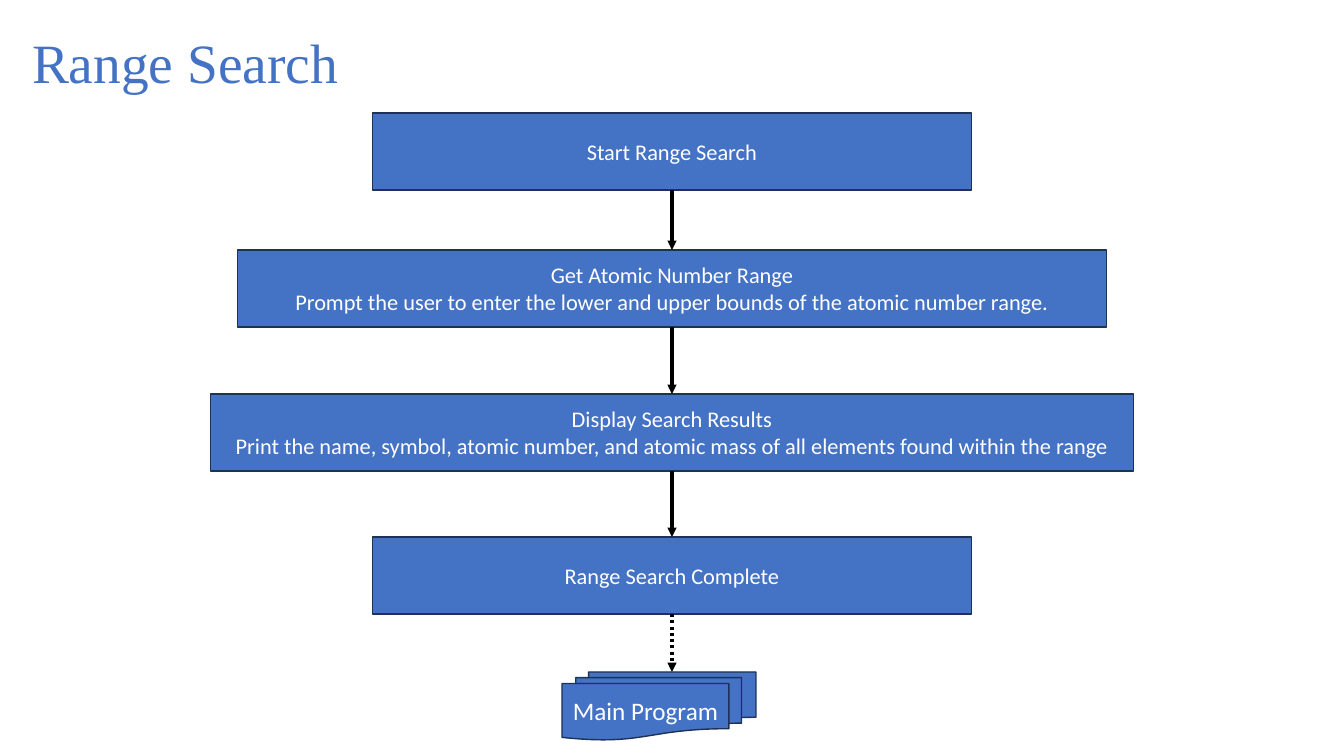
from dataclasses import dataclass

from lxml.etree import SubElement as Sub
from pptx import Presentation
from pptx.dml.color import RGBColor as RGB
from pptx.enum.dml import MSO_LINE as Dash
from pptx.enum.shapes import MSO_CONNECTOR as Link, MSO_SHAPE as Kind
from pptx.enum.text import MSO_ANCHOR as Anchor, PP_ALIGN as Align
from pptx.oxml.ns import qn
from pptx.util import Pt

WIDE, HIGH = 1344, 756
SCALE = 12192000 / WIDE


@dataclass(frozen=True)
class Theme:
    """Colours, fonts and type sizes of the slide."""
    blue: RGB = RGB(0x44, 0x72, 0xC4)
    navy: RGB = RGB(0x1E, 0x32, 0x56)
    black: RGB = RGB(0, 0, 0)
    white: RGB = RGB(255, 255, 255)
    serif: str = "Times New Roman"
    sans: str = "Calibri"
    head: float = 39.6
    step: float = 16
    end: float = 18
    edge: float = 1
    arrow: float = 2.25


THEME = Theme()
STEPS = [
    (113, 599, ["Start Range Search"]),
    (250, 869, ["Get Atomic Number Range",
                "Prompt the user to enter the lower and upper bounds "
                "of the atomic number range."]),
    (394, 923, ["Display Search Results",
                "Print the name, symbol, atomic number, and atomic mass "
                "of all elements found within the range"]),
    (537, 599, ["Range Search Complete"]),
]


def px(num):
    """Turn a length in px into EMU."""
    return round(num * SCALE)


def put(item, **vals):
    """Set each named value on the item."""
    for name, val in vals.items():
        setattr(item, name, val)


def write(frame, lines, font, size, color, align, space=None):
    """Fill a text frame with one paragraph per line."""
    frame.text = "\n".join(lines)
    for para in frame.paragraphs:
        put(para, alignment=align, line_spacing=space)
        for run in para.runs:
            put(run.font, name=font, size=Pt(size))
            run.font.color.rgb = color


def title(slide, text, box):
    """Place the slide title in its box."""
    head = slide.shapes.title
    put(head, **dict(zip(("left", "top", "width", "height"), map(px, box))))
    put(head.text_frame, vertical_anchor=Anchor.TOP, word_wrap=True)
    write(head.text_frame, [text], THEME.serif, THEME.head, THEME.blue,
          Align.LEFT, 0.8)


def node(shapes, kind, box, lines, size):
    """Draw one flow block with centred text."""
    block = shapes.add_shape(kind, *map(px, box))
    block.shadow.inherit = False
    block.fill.solid()
    block.fill.fore_color.rgb = THEME.blue
    block.line.color.rgb = THEME.navy
    block.line.width = Pt(THEME.edge)
    put(block.text_frame, vertical_anchor=Anchor.MIDDLE, word_wrap=True)
    write(block.text_frame, lines, THEME.sans, size, THEME.white, Align.CENTER)
    return block


def arrow(shapes, top, low, mid, dash=None):
    """Join two blocks with a straight arrow down the middle line."""
    link = shapes.add_connector(Link.STRAIGHT, 0, 0, 0, 0)
    link.begin_connect(top, 2)
    link.end_connect(low, 0)
    put(link, begin_x=px(mid), end_x=px(mid))
    link.line.color.rgb = THEME.black
    put(link.line, width=Pt(THEME.arrow), dash_style=dash)
    Sub(link.line._get_or_add_ln(), qn("a:tailEnd"), type="triangle")
    Sub(link._element.spPr, qn("a:effectLst"))


def flow(slide, box):
    """Stack the steps about the middle of the box, then the way back."""
    left, top, width, _ = box
    mid = left + width // 2
    group = slide.shapes.add_group_shape().shapes
    blocks = [node(group, Kind.RECTANGLE,
                   (mid - wide / 2, top + y, wide, 77), lines, THEME.step)
              for y, wide, lines in STEPS]
    for high, low in zip(blocks, blocks[1:]):
        arrow(group, high, low, mid)
    main = node(slide.shapes, Kind.FLOWCHART_MULTIDOCUMENT,
                (mid - 110, top + 672, 194, 68), ["Main Program"], THEME.end)
    arrow(slide.shapes, blocks[-1], main, mid, Dash.ROUND_DOT)


def main():
    """Build and save the slide."""
    deck = Presentation()
    put(deck, slide_width=px(WIDE), slide_height=px(HIGH))
    slide = deck.slides.add_slide(deck.slide_layouts[5])
    title(slide, "Range Search", (22, 36, 351, 86))
    flow(slide, (0, 0, WIDE, HIGH))
    deck.save("out.pptx")


if __name__ == "__main__":
    main()
